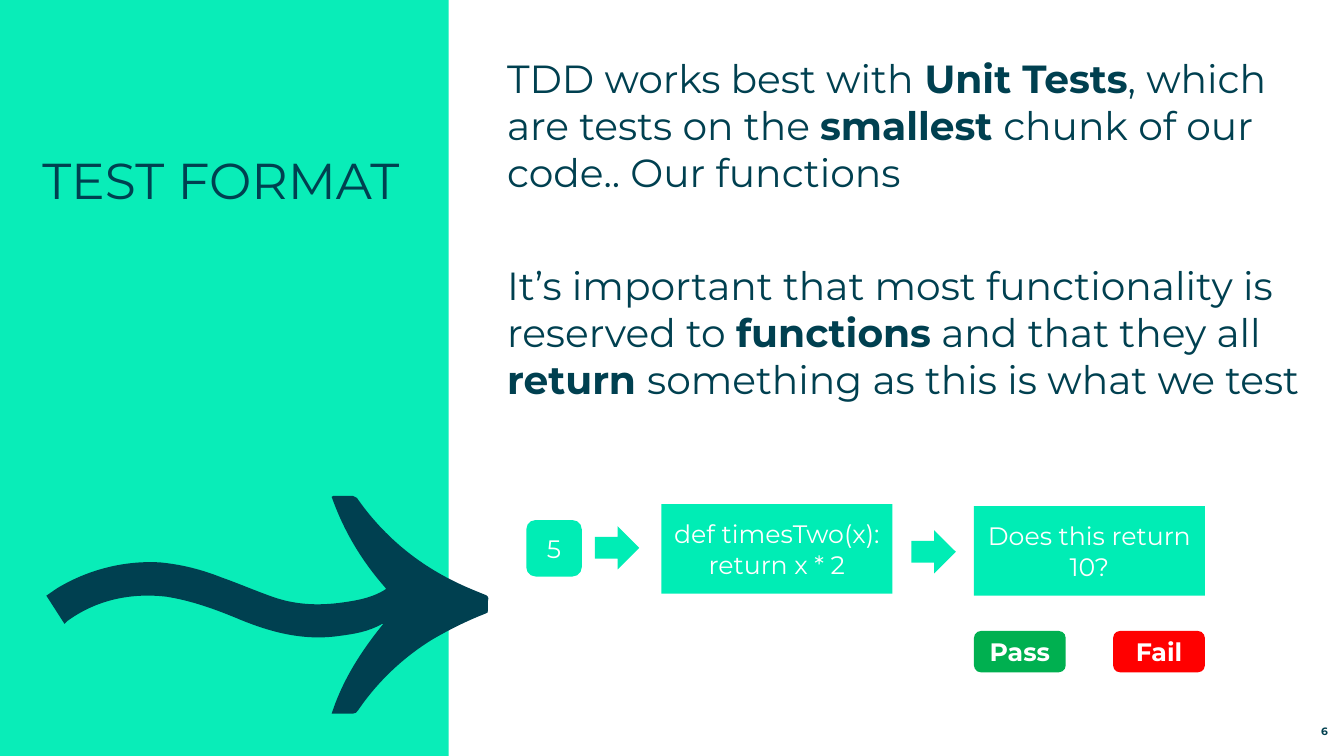
from lxml.etree import SubElement
from pptx import Presentation
from pptx.dml.color import RGBColor
from pptx.enum.shapes import MSO_SHAPE as SHAPE
from pptx.enum.text import MSO_ANCHOR as ANCHOR, MSO_AUTO_SIZE as AUTO, PP_ALIGN as ALIGN
from pptx.oxml.ns import qn
from pptx.util import Pt

PX = 9144  # EMU per px, 100 px to the inch
FONT = "Montserrat"
COLORS = {
    "panel": "09EDB8",
    "step": "00EDB5",
    "ink": "004050",
    "white": "FFFFFF",
    "pass": "00B050",
    "fail": "FF0000",
}
TITLE_ONLY = 5

# Each entry is a line end (one point) or a curve (two controls and an end)
SWOOSH_START = (329, 708)
SWOOSH = [
    [(340, 674), (359, 645), (381, 618)],
    [(381, 619), (380, 619), (379, 619)],
    [(365, 627), (351, 629), (336, 631)],
    [(300, 636), (267, 627), (234, 613)],
    [(212, 604), (190, 596), (165, 592)],
    [(130, 588), (96, 595), (67, 616)],
    [(64, 619)],
    [(46, 591)],
    [(52, 587), (57, 583), (63, 580)],
    [(92, 564), (126, 556), (159, 558)],
    [(180, 560), (200, 565), (220, 573)],
    [(237, 579), (253, 586), (270, 592)],
    [(295, 601), (320, 601), (345, 597)],
    [(358, 595), (371, 592), (382, 585)],
    [(382, 584), (382, 584), (383, 584)],
    [(359, 557), (341, 527), (329, 493)],
    [(330, 492), (331, 492), (331, 492)],
    [(338, 492), (344, 492), (350, 492)],
    [(352, 492), (353, 493), (354, 494)],
    [(379, 530), (412, 558), (451, 577)],
    [(461, 582), (471, 586), (481, 590)],
    [(484, 591), (485, 593), (484, 596)],
    [(484, 599), (484, 602), (484, 605)],
    [(485, 607), (483, 609), (481, 609)],
    [(463, 616), (445, 625), (428, 635)],
    [(399, 653), (374, 677), (355, 705)],
    [(354, 707), (352, 708), (350, 708)],
    [(343, 708), (336, 708), (329, 708)],
]


def color(name):
    return RGBColor.from_string(COLORS[name])


def emu(*lengths):
    return [length * PX for length in lengths]


def paint(shape, fill):
    shape.fill.solid()
    shape.fill.fore_color.rgb = color(fill)
    shape.line.fill.background()
    shape.shadow.inherit = False


def style_run(run, size, ink, bold=False):
    run.font.name = FONT
    run.font.size = Pt(size)
    run.font.bold = bold
    run.font.color.rgb = color(ink)


def prepare_frame(frame, anchor=ANCHOR.TOP):
    frame.word_wrap = True
    frame.auto_size = AUTO.NONE
    frame.vertical_anchor = anchor
    frame.margin_left = frame.margin_right = 0
    frame.margin_top = frame.margin_bottom = 0


def add_block(slide, kind, box, fill, text="", bold=False):
    block = slide.shapes.add_shape(kind, *emu(*box))
    paint(block, fill)
    if text:
        frame = block.text_frame
        frame.text = text
        frame.word_wrap = True
        frame.vertical_anchor = ANCHOR.MIDDLE
        for paragraph in frame.paragraphs:
            paragraph.alignment = ALIGN.CENTER
            for run in paragraph.runs:
                style_run(run, 18, "white", bold)


def add_swoosh(slide):
    builder = slide.shapes.build_freeform(*emu(*SWOOSH_START), scale=1)
    builder.add_line_segments([emu(*segment[-1]) for segment in SWOOSH], close=True)
    swoosh = builder.convert_to_shape()
    paint(swoosh, "ink")
    # Bend the segments that have control points
    segment_ends = list(swoosh.element.iter(qn("a:lnTo")))
    for segment_end, segment in zip(segment_ends, SWOOSH):
        if len(segment) == 3:
            segment_end.tag = qn("a:cubicBezTo")
            segment_end.clear()
            for point in segment:
                x, y = emu(*point)
                SubElement(segment_end, qn("a:pt"),
                           x=str(x - swoosh.left), y=str(y - swoosh.top))


def add_title(slide, text, box):
    title = slide.shapes.title
    title.left, title.top, title.width, title.height = emu(*box)
    frame = title.text_frame
    frame.text = text
    prepare_frame(frame)
    frame.paragraphs[0].alignment = ALIGN.LEFT
    style_run(frame.paragraphs[0].runs[0], 36, "ink")
    # Bring the title in front of the panel
    title.element.getparent().append(title.element)


def add_text(slide, box, paragraphs, size, gap=0, align=ALIGN.LEFT, anchor=ANCHOR.TOP):
    """Each paragraph is a list of (text, bold) pairs."""
    frame = slide.shapes.add_textbox(*emu(*box)).text_frame
    prepare_frame(frame, anchor)
    for index, pieces in enumerate(paragraphs):
        paragraph = frame.add_paragraph() if index else frame.paragraphs[0]
        paragraph.alignment = align
        paragraph.space_after = Pt(gap)
        for text, bold in pieces:
            run = paragraph.add_run()
            run.text = text
            style_run(run, size, "ink", bold)


def main():
    prs = Presentation()
    prs.slide_width, prs.slide_height = emu(1333, 750)
    slide = prs.slides.add_slide(prs.slide_layouts[TITLE_ONLY])

    # Side panel with its accent bar
    for box in ((0, 0, 445, 750), (83, 84, 42, 12)):
        add_block(slide, SHAPE.RECTANGLE, box, "panel")
    add_swoosh(slide)
    add_title(slide, "TEST FORMAT", (42, 148, 377, 301))

    # Page number
    add_text(slide, (1231, 712, 86, 20), [[("6", True)]], 7.6,
             align=ALIGN.RIGHT, anchor=ANCHOR.BOTTOM)

    # Explanation
    unit_tests = [
        ("TDD works best with", False),
        (" Unit Tests", True),
        (", which are tests on the ", False),
        ("smallest ", True),
        ("chunk of our code.. Our functions", False),
    ]
    returns = [
        ("It’s important that most functionality is reserved to ", False),
        ("functions", True),
        (" and that they all ", False),
        ("return ", True),
        ("something as this is what we test", False),
    ]
    add_text(slide, (503, 54, 789, 361), [unit_tests, returns], 28, gap=47)

    # Flow from input to check
    add_block(slide, SHAPE.RECTANGLE, (656, 500, 229, 89), "step",
              "def timesTwo(x):\nreturn x * 2")
    add_block(slide, SHAPE.FLOWCHART_ALTERNATE_PROCESS, (522, 516, 55, 56), "step", "5")
    add_block(slide, SHAPE.RECTANGLE, (966, 502, 229, 89), "step", "Does this return 10?")
    for left, top in ((590, 522), (904, 526)):
        add_block(slide, SHAPE.RIGHT_ARROW, (left, top, 44, 43), "step")

    # Outcomes
    for left, label, fill in ((966, "Pass", "pass"), (1104, "Fail", "fail")):
        add_block(slide, SHAPE.ROUNDED_RECTANGLE, (left, 626, 91, 41), fill, label, bold=True)

    prs.save("out.pptx")


if __name__ == "__main__":
    main()
